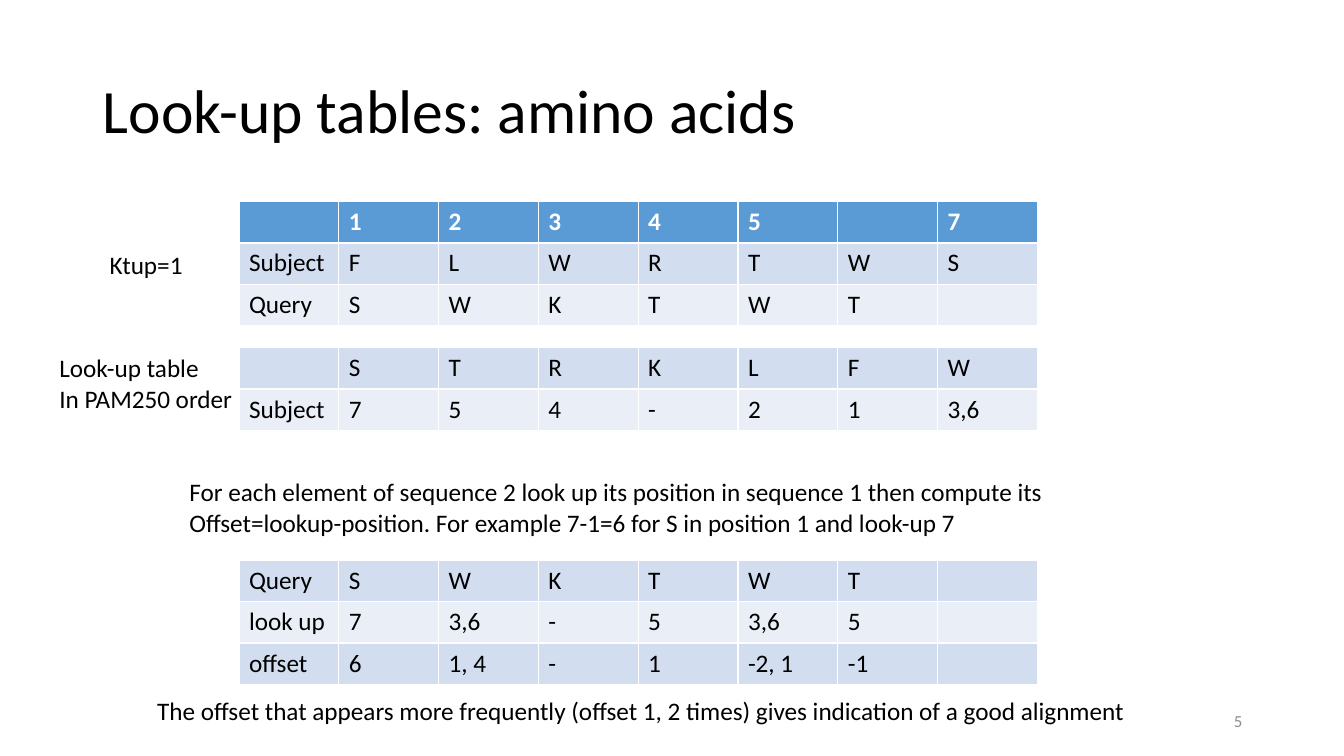
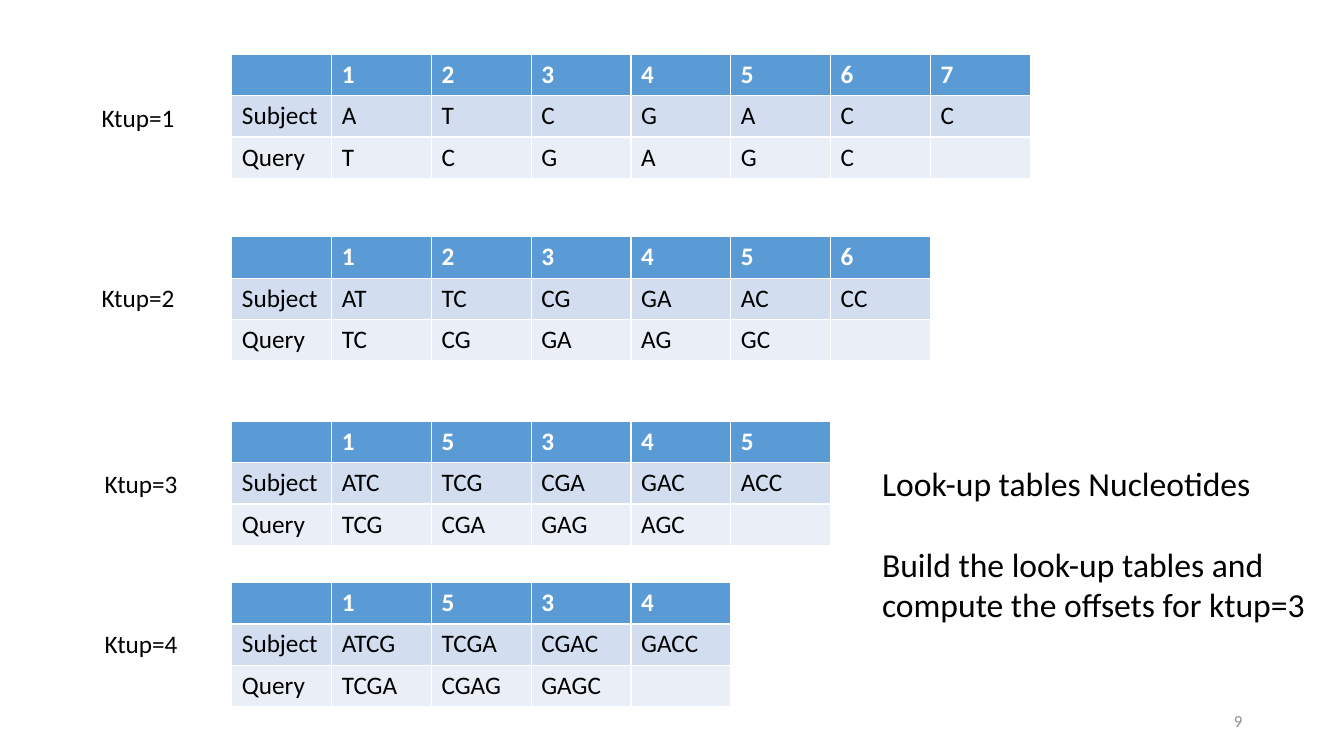
from dataclasses import dataclass

from pptx import Presentation
from pptx.dml.color import RGBColor
from pptx.enum.text import MSO_ANCHOR, MSO_AUTO_SIZE, PP_ALIGN
from pptx.util import Inches, Pt

LEFT, RIGHT = PP_ALIGN.LEFT, PP_ALIGN.RIGHT
TOP, MIDDLE = MSO_ANCHOR.TOP, MSO_ANCHOR.MIDDLE
FIT_SHAPE = MSO_AUTO_SIZE.SHAPE_TO_FIT_TEXT
TITLE_ONLY, BLANK = 5, 6


@dataclass(frozen=True)
class Theme:
    font: str = "Calibri"
    ink: RGBColor = RGBColor(0x00, 0x00, 0x00)
    header_ink: RGBColor = RGBColor(0xFF, 0xFF, 0xFF)
    muted: RGBColor = RGBColor(0x8C, 0x8C, 0x8C)
    header: RGBColor = RGBColor(0x5B, 0x9B, 0xD5)
    bands: tuple = (RGBColor(0xD2, 0xDE, 0xEF), RGBColor(0xEA, 0xEF, 0xF7))
    title_size: int = 44
    task_size: int = 24
    body_size: int = 18
    number_size: int = 12
    column: float = 0.99
    row: float = 0.41


THEME = Theme()


def style(paragraph, size=THEME.body_size, color=THEME.ink, bold=False, align=LEFT):
    paragraph.alignment = align
    font = paragraph.font
    font.name, font.size, font.bold = THEME.font, Pt(size), bold
    font.color.rgb = color


def add_title(slide, text):
    title = slide.shapes.title
    title.left, title.top = Inches(0.92), Inches(0.4)
    title.width, title.height = Inches(11.5), Inches(1.45)
    title.text_frame.text = text
    title.text_frame.vertical_anchor = MIDDLE
    paragraph = title.text_frame.paragraphs[0]
    style(paragraph, THEME.title_size)
    paragraph.line_spacing = 0.9


def add_text(slide, lines, left, top, width, height=0.4, anchor=TOP, **look):
    """Place unwrapped lines, one paragraph each, and return the text frame."""
    box = slide.shapes.add_textbox(
        Inches(left), Inches(top), Inches(width), Inches(height))
    frame = box.text_frame
    frame.text = "\n".join(lines)
    frame.word_wrap = False
    frame.auto_size = FIT_SHAPE
    frame.vertical_anchor = anchor
    for paragraph in frame.paragraphs:
        style(paragraph, **look)
    return frame


def add_page_number(slide, number):
    frame = add_text(slide, [str(number)], 9.42, 6.95, 3, anchor=MIDDLE,
                     size=THEME.number_size, color=THEME.muted, align=RIGHT)
    frame.auto_size = MSO_AUTO_SIZE.NONE
    frame.word_wrap = True


def add_sequence_table(slide, rows, left, top, has_header=False):
    """Draw a banded table; the default table style supplies its white rules."""
    columns = len(rows[0])
    table = slide.shapes.add_table(
        len(rows), columns, Inches(left), Inches(top),
        Inches(THEME.column * columns), Inches(THEME.row * len(rows))).table
    table.first_row = has_header
    for column in table.columns:
        column.width = Inches(THEME.column)
    for r, values in enumerate(rows):
        table.rows[r].height = Inches(THEME.row)
        is_header = has_header and r == 0
        band = THEME.bands[(r - has_header) % 2]
        for c, value in enumerate(values):
            cell = table.cell(r, c)
            cell.fill.solid()
            cell.fill.fore_color.rgb = THEME.header if is_header else band
            cell.text = value
            style(cell.text_frame.paragraphs[0], bold=is_header,
                  color=THEME.header_ink if is_header else THEME.ink)


def words(sequence, ktup):
    return [sequence[i:i + ktup] for i in range(len(sequence) - ktup + 1)]


def aligned_rows(positions, subject, query, ktup=1):
    """Header, subject and query rows; the query is one word shorter."""
    return [["", *positions],
            ["Subject", *words(subject, ktup)],
            ["Query", *words(query, ktup), ""]]


def build_amino_acids(prs):
    slide = prs.slides.add_slide(prs.slide_layouts[TITLE_ONLY])
    add_title(slide, "Look-up tables: amino acids")
    table_left = 2.37

    # Sequences
    positions = ["1", "2", "3", "4", "5", "", "7"]
    add_sequence_table(slide, aligned_rows(positions, "FLWRTWS", "SWKTWT"),
                       table_left, 2, has_header=True)
    add_text(slide, ["Ktup=1"], 0.99, 2.42, 0.93)

    # Look-up table
    add_sequence_table(slide, [
        ["", "S", "T", "R", "K", "L", "F", "W"],
        ["Subject", "7", "5", "4", "-", "2", "1", "3,6"],
    ], table_left, 3.45)
    add_text(slide, ["Look-up table", "In PAM250 order"], 0.49, 3.45, 1.93, 0.71)

    # Offsets
    add_text(slide, [
        "For each element of sequence 2 look up its position in sequence 1 "
        "then compute its",
        "Offset=lookup-position. For example 7-1=6 for S in position 1 and look-up 7",
    ], 1.78, 4.68, 8.77, 0.71)
    add_sequence_table(slide, [
        ["Query", "S", "W", "K", "T", "W", "T", ""],
        ["look up", "7", "3,6", "-", "5", "3,6", "5", ""],
        ["offset", "6", "1, 4", "-", "1", "-2, 1", "-1", ""],
    ], table_left, 5.56)
    add_text(slide, [
        "The offset that appears more frequently (offset 1, 2 times) "
        "gives indication of a good alignment",
    ], 1.46, 6.85, 9.99)
    add_page_number(slide, 5)


def build_nucleotides(prs):
    slide = prs.slides.add_slide(prs.slide_layouts[BLANK])

    # One table per word length: positions, table top, label left and top
    ktup_tables = [
        ("1234567", 0.54, 0.91, 0.97),
        ("123456", 2.35, 0.91, 2.75),
        ("15345", 4.18, 0.94, 4.6),
        ("1534", 5.78, 0.94, 6.18),
    ]
    for ktup, (positions, top, label_left, label_top) in enumerate(ktup_tables, 1):
        rows = aligned_rows(positions, "ATCGACC", "TCGAGC", ktup)
        add_sequence_table(slide, rows, 2.3, top, has_header=True)
        add_text(slide, [f"Ktup={ktup}"], label_left, label_top, 0.93)

    # Exercise
    task = add_text(slide, [
        "Look-up tables Nucleotides",
        "Build the look-up tables and",
        "compute the offsets for ktup=3",
    ], 8.65, 4.54, 4.44, 1.72, size=THEME.task_size)
    task.paragraphs[1].space_before = Pt(29)
    add_page_number(slide, 9)


def main():
    prs = Presentation()
    prs.slide_width, prs.slide_height = Inches(13.33), Inches(7.5)
    build_amino_acids(prs)
    build_nucleotides(prs)
    prs.save("out.pptx")


if __name__ == "__main__":
    main()
